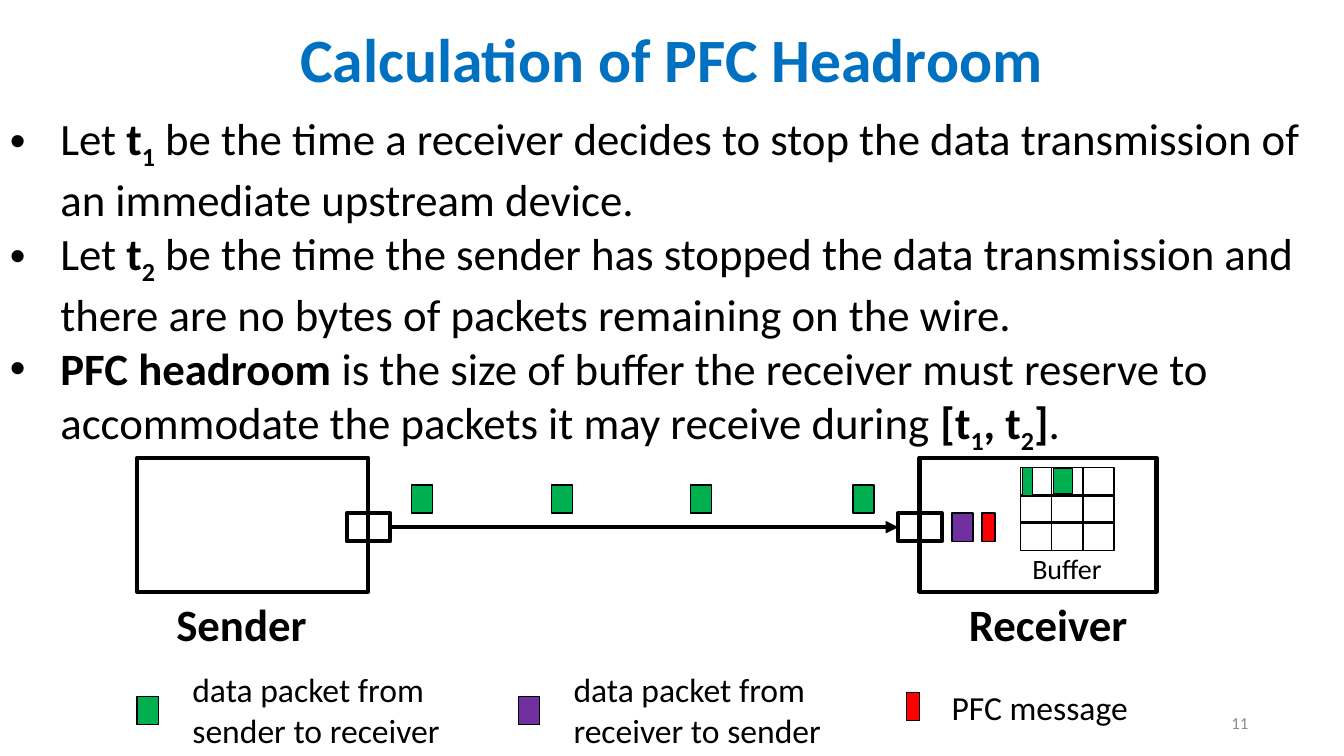
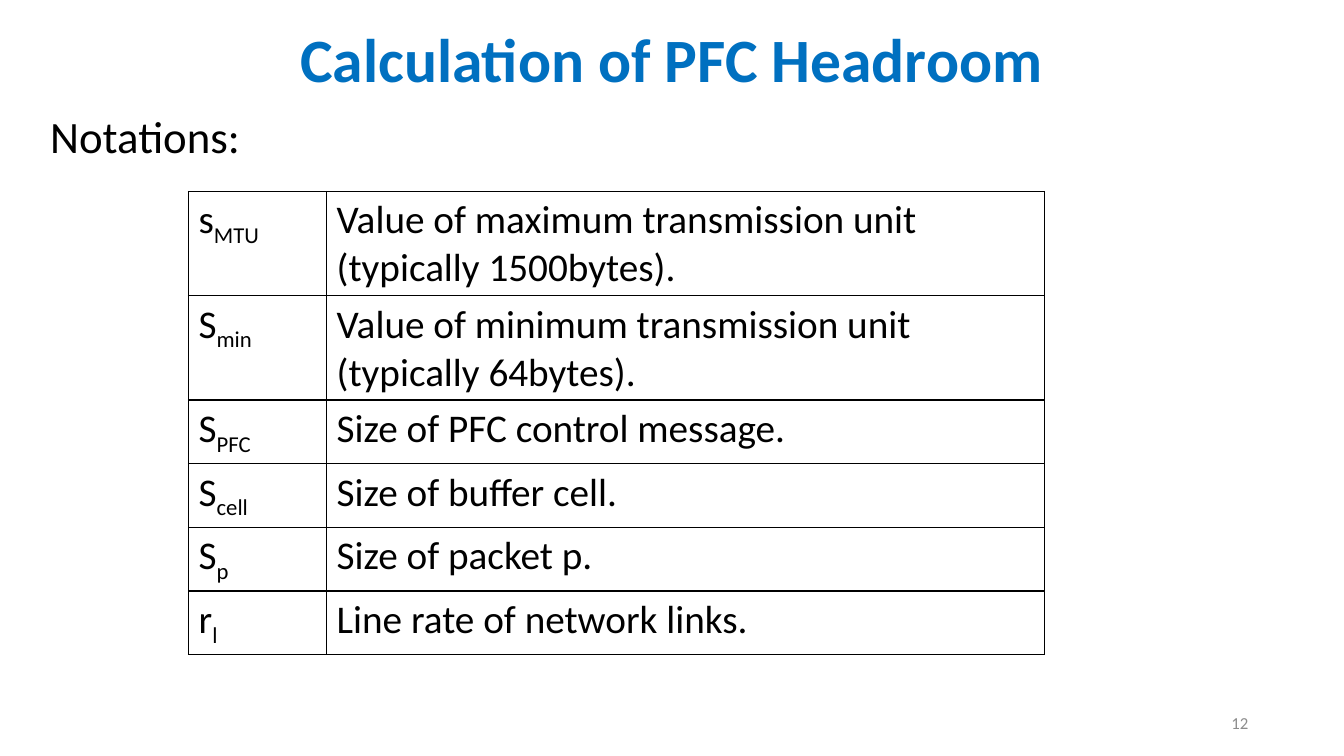
from dataclasses import dataclass
from itertools import product

from lxml import etree
from pptx import Presentation
from pptx.dml.color import RGBColor
from pptx.enum.shapes import MSO_CONNECTOR, MSO_SHAPE
from pptx.enum.text import MSO_ANCHOR, MSO_AUTO_SIZE, PP_ALIGN
from pptx.oxml.ns import qn
from pptx.util import Inches, Pt


@dataclass(frozen=True)
class Theme:
    font: str = "Calibri"
    title_color: RGBColor = RGBColor(0x00, 0x70, 0xC0)
    ink: RGBColor = RGBColor(0x00, 0x00, 0x00)
    muted: RGBColor = RGBColor(0x8C, 0x8C, 0x8C)
    data: RGBColor = RGBColor(0x00, 0xB0, 0x50)
    reverse: RGBColor = RGBColor(0x70, 0x30, 0xA0)
    pfc: RGBColor = RGBColor(0xFF, 0x00, 0x00)
    title: int = 44
    body: int = 32
    table: int = 28
    legend: int = 24
    caption: int = 20
    footer: int = 12
    thick: int = 3
    thin: int = 1


T = Theme()
TITLE = "Calculation of PFC Headroom"
PACKET_W, PFC_W, PACKET_H = 0.21, 0.13, 0.28

# Run styles: "b" is bold, "_" is subscript.
DEFINITIONS = [
    [("Let ", ""), ("t", "b"), ("1", "b_"),
     (" be the time a receiver decides to stop the data transmission of "
      "an immediate upstream device.", "")],
    [("Let ", ""), ("t", "b"), ("2", "b_"),
     (" be the time the sender has stopped the data transmission and "
      "there are no bytes of packets remaining on the wire.", "")],
    [("PFC headroom", "b"),
     (" is the size of buffer the receiver must reserve to accommodate "
      "the packets it may receive during ", ""),
     ("[t", "b"), ("1", "b_"), (", t", "b"), ("2", "b_"), ("]", "b"), (".", "")],
]

# Symbol, subscript, meaning, row height
NOTATIONS = [
    ("s", "MTU", "Value of maximum transmission unit (typically 1500bytes).", 1.03),
    ("S", "min", "Value of minimum transmission unit (typically 64bytes).", 1.03),
    ("S", "PFC", "Size of PFC control message.", 0.63),
    ("S", "cell", "Size of buffer cell.", 0.63),
    ("S", "p", "Size of packet p.", 0.63),
    ("r", "l", "Line rate of network links.", 0.63),
]


def add_runs(p, runs, size, color=T.ink):
    for text, style in runs:
        r = p.add_run()
        r.text = text
        r.font.name = T.font
        r.font.size = Pt(size)
        r.font.color.rgb = color
        r.font.bold = "b" in style
        if "_" in style:
            r.font._element.set("baseline", "-25000")


def add_text(s, at, paragraphs, size, color=T.ink, wrap=True):
    """Add a text box with one list of runs per paragraph; return its frame."""
    tf = s.shapes.add_textbox(*map(Inches, at)).text_frame
    tf.word_wrap = wrap
    for i, runs in enumerate(paragraphs):
        p = tf.add_paragraph() if i else tf.paragraphs[0]
        add_runs(p, runs, size, color)
    return tf


def add_bullet(p, indent=0.5):
    pPr = p._p.get_or_add_pPr()
    pPr.set("marL", str(Inches(indent)))
    pPr.set("indent", str(-Inches(indent)))
    etree.SubElement(pPr, qn("a:buFont"), typeface="Arial")
    etree.SubElement(pPr, qn("a:buChar"), char="•")


def add_box(shapes, at, fill=None, weight=T.thin):
    sp = shapes.add_shape(MSO_SHAPE.RECTANGLE, *map(Inches, at))
    sp.shadow.inherit = False
    if fill is None:
        sp.fill.background()
    else:
        sp.fill.solid()
        sp.fill.fore_color.rgb = fill
    sp.line.color.rgb = T.ink
    sp.line.width = Pt(weight)


def add_arrow(s, start, end):
    line = s.shapes.add_connector(MSO_CONNECTOR.STRAIGHT, *map(Inches, start + end))
    line.line.color.rgb = T.ink
    line.line.width = Pt(T.thick)
    etree.SubElement(line.line._get_or_add_ln(), qn("a:tailEnd"), type="triangle")
    etree.SubElement(line._element.spPr, qn("a:effectLst"))


def add_titled_slide(prs, number):
    s = prs.slides.add_slide(prs.slide_layouts[5])
    title = s.shapes.title
    title.left, title.top, title.width, title.height = map(Inches, (0.21, 0, 12.91, 1.25))
    tf = title.text_frame
    tf.auto_size = MSO_AUTO_SIZE.NONE
    tf.vertical_anchor = MSO_ANCHOR.MIDDLE
    p = tf.paragraphs[0]
    p.alignment = PP_ALIGN.CENTER
    p.line_spacing = 0.9
    add_runs(p, [(TITLE, "b")], T.title, T.title_color)

    tf = add_text(s, (9.48, 6.97, 3, 0.4), [[(str(number), "")]], T.footer, T.muted)
    tf.vertical_anchor = MSO_ANCHOR.MIDDLE
    tf.paragraphs[0].alignment = PP_ALIGN.RIGHT
    return s


def add_buffer(s):
    """Draw the receiver's 3 by 3 buffer with two occupied cells."""
    left, top, cell_w, cell_h = 10.12, 4.64, 0.31, 0.27
    grid = s.shapes.add_group_shape()
    for row, col in product(range(3), repeat=2):
        add_box(grid.shapes,
                (left + col * cell_w, top + row * cell_h, cell_w, PACKET_H))
    add_text(s, (10.14, 5.42, 0.9, 0.44), [[("Buffer", "")]], T.caption, wrap=False)
    add_box(s.shapes, (10.14, 4.64, 0.1, PACKET_H), T.data)
    add_box(s.shapes, (10.45, 4.65, 0.19, 0.25), T.data)


def add_link_diagram(s):
    devices = [(1.36, 2.29), (9.12, 2.35)]
    ports = [3.44, 8.91]
    port_w, port_y, wire_y = 0.43, 5.09, 5.23
    for x, width in devices:
        add_box(s.shapes, (x, 4.54, width, 1.33), weight=T.thick)
    for x in ports:
        add_box(s.shapes, (x, port_y, port_w, PACKET_H), weight=T.thick)
    add_arrow(s, (ports[0] + port_w, wire_y), (ports[1], wire_y))
    for x, width, name in [(1.65, 1.51, "Sender"), (9.51, 1.79, "Receiver")]:
        add_text(s, (x, 5.87, width, 0.64), [[(name, "b")]], T.body, wrap=False)

    for x in (4.08, 5.47, 6.85, 8.46):
        add_box(s.shapes, (x, port_y - PACKET_H, PACKET_W, PACKET_H), T.data)
    add_box(s.shapes, (9.44, port_y, PACKET_W, PACKET_H), T.reverse)
    add_box(s.shapes, (9.74, port_y, PFC_W, PACKET_H), T.pfc)
    add_buffer(s)


def add_legend(s):
    packets = [(1.36, T.data, "data packet from sender to receiver"),
               (5.14, T.reverse, "data packet from receiver to sender")]
    for x, color, label in packets:
        add_box(s.shapes, (x, 6.91, PACKET_W, PACKET_H), color)
        add_text(s, (x + 0.45, 6.59, 2.74, 0.91), [[(label, "")]], T.legend)
    add_box(s.shapes, (8.99, 6.87, PFC_W, PACKET_H), T.pfc)
    add_text(s, (9.34, 6.77, 1.97, 0.5), [[("PFC message", "")]], T.legend, wrap=False)


def set_borders(cell):
    tcPr = cell._tc.get_or_add_tcPr()
    for i, side in enumerate(("lnL", "lnR", "lnT", "lnB")):
        ln = etree.Element(qn(f"a:{side}"), w=str(Pt(T.thin)))
        fill = etree.SubElement(ln, qn("a:solidFill"))
        etree.SubElement(fill, qn("a:srgbClr"), val=str(T.ink))
        tcPr.insert(i, ln)


def add_notation_table(s):
    widths = (1.37, 7.12)
    heights = [row[-1] for row in NOTATIONS]
    at = (1.87, 1.9, sum(widths), sum(heights))
    table = s.shapes.add_table(len(NOTATIONS), len(widths), *map(Inches, at)).table
    table.first_row = table.horz_banding = False
    for column, width in zip(table.columns, widths):
        column.width = Inches(width)
    for row, (symbol, sub, meaning, height) in zip(table.rows, NOTATIONS):
        row.height = Inches(height)
        contents = ([(symbol, ""), (sub, "_")], [(meaning, "")])
        for cell, runs in zip(row.cells, contents):
            cell.fill.background()
            set_borders(cell)
            add_runs(cell.text_frame.paragraphs[0], runs, T.table)


def add_headroom_slide(prs):
    s = add_titled_slide(prs, 11)
    tf = add_text(s, (0, 1.05, 13.33, 3.33), DEFINITIONS, T.body)
    for p in tf.paragraphs:
        add_bullet(p)
    add_link_diagram(s)
    add_legend(s)


def add_notation_slide(prs):
    s = add_titled_slide(prs, 12)
    add_text(s, (0.4, 1.03, 12.93, 0.64), [[("Notations:", "")]], T.body)
    add_notation_table(s)


def main():
    prs = Presentation()
    prs.slide_width, prs.slide_height = Inches(13.33), Inches(7.5)
    add_headroom_slide(prs)
    add_notation_slide(prs)
    prs.save("out.pptx")


if __name__ == "__main__":
    main()
